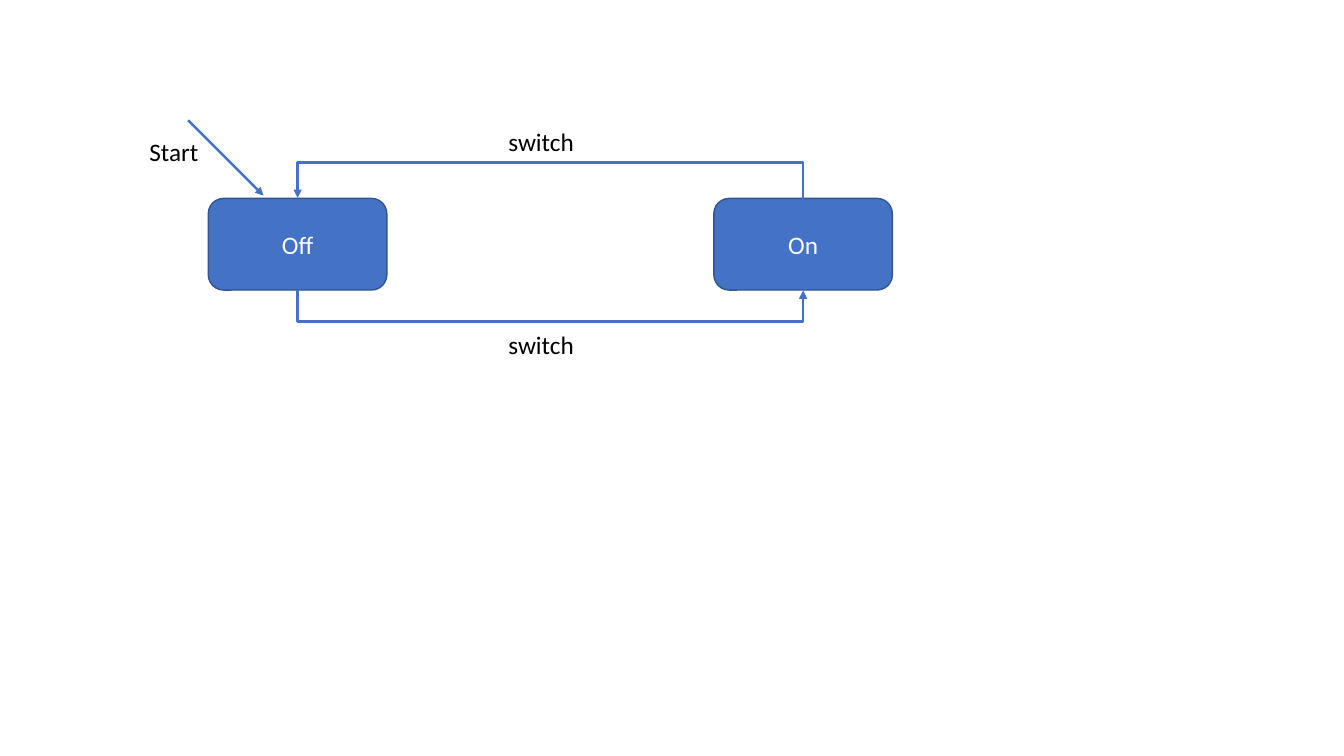
import dataclasses
import typing

import pptx
import pptx.dml.color
import pptx.enum.shapes
import pptx.enum.text
import pptx.oxml.ns
import pptx.util

Cm = pptx.util.Cm
Pt = pptx.util.Pt
RGB = pptx.dml.color.RGBColor
Align = pptx.enum.text.PP_ALIGN
Kind = pptx.enum.shapes.MSO_CONNECTOR


@dataclasses.dataclass(frozen=True)
class Theme:
    font: str = "Calibri"
    size: float = 18
    fill: RGB = RGB(0x44, 0x72, 0xC4)
    edge: RGB = RGB(0x32, 0x54, 0x91)
    light: RGB = RGB(0xFF, 0xFF, 0xFF)
    dark: RGB = RGB(0, 0, 0)
    rim: float = 1
    stroke: float = 1.75


@dataclasses.dataclass(frozen=True)
class State:
    name: str
    left: float


@dataclasses.dataclass(frozen=True)
class Label:
    text: str
    left: float
    top: float
    width: float
    align: Align = Align.LEFT


@dataclasses.dataclass(frozen=True)
class Move:
    start: str
    end: str
    site: int  # 0 is the top of a state, 2 the bottom
    flip: str
    depth: float


THEME = Theme()
TOP, WIDE, HIGH = 5.0, 4.5, 2.31
THIN = 0.02  # bent connectors need a small extent to scale their depth
STATES = [State("Off", 5.25), State("On", 17.99)]
MOVES = [Move("Off", "On", 2, "flipH", 0.8), Move("On", "Off", 0, "flipV", 0.91)]
LABELS = [
    Label("switch", 12.56, 3.05, 2.18),
    Label("switch", 12.56, 8.18, 2.18),
    Label("Start", 3.5, 3.3, 1.75, Align.RIGHT),
]


def write(frame: typing.Any, text: str, *, color: RGB, align: Align = Align.LEFT) -> None:
    para = frame.paragraphs[0]
    para.alignment = align
    run = para.add_run()
    run.text = text
    run.font.name = THEME.font
    run.font.size = Pt(THEME.size)
    run.font.color.rgb = color


def add_state(slide: typing.Any, state: State) -> typing.Any:
    box = slide.shapes.add_shape(
        pptx.enum.shapes.MSO_SHAPE.ROUNDED_RECTANGLE,
        Cm(state.left), Cm(TOP), Cm(WIDE), Cm(HIGH))
    box.shadow.inherit = False
    box.fill.solid()
    box.fill.fore_color.rgb = THEME.fill
    box.line.color.rgb = THEME.edge
    box.line.width = Pt(THEME.rim)
    box.text_frame.vertical_anchor = pptx.enum.text.MSO_ANCHOR.MIDDLE
    write(box.text_frame, state.name, color=THEME.light, align=Align.CENTER)
    return box


def add_label(slide: typing.Any, label: Label) -> None:
    box = slide.shapes.add_textbox(
        Cm(label.left), Cm(label.top), Cm(label.width), Cm(1.03))
    box.text_frame.word_wrap = False
    box.text_frame.auto_size = pptx.enum.text.MSO_AUTO_SIZE.SHAPE_TO_FIT_TEXT
    write(box.text_frame, label.text, color=THEME.dark, align=label.align)


def add_arrow(slide: typing.Any, kind: Kind, x1: float, y1: float,
              x2: float, y2: float) -> typing.Any:
    arrow = slide.shapes.add_connector(kind, Cm(x1), Cm(y1), Cm(x2), Cm(y2))
    arrow.line.color.rgb = THEME.fill
    arrow.line.width = Pt(THEME.stroke)
    props = arrow.element.spPr
    props.find(pptx.oxml.ns.qn("a:ln")).append(pptx.oxml.parse_xml(
        f'<a:tailEnd {pptx.oxml.ns.nsdecls("a")} type="triangle"/>'))
    props.append(
        pptx.oxml.parse_xml(f'<a:effectLst {pptx.oxml.ns.nsdecls("a")}/>'))
    return arrow


def add_move(slide: typing.Any, move: Move, boxes: dict[str, typing.Any]) -> None:
    """Join two states by a bent arrow that leaves and enters upright."""
    arrow = add_arrow(slide, Kind.ELBOW, 0, 0, 1, 1)
    arrow.begin_connect(boxes[move.start], move.site)
    arrow.end_connect(boxes[move.end], move.site)
    left, right = (state.left + WIDE / 2 for state in STATES)
    span = right - left
    level = TOP + (HIGH if move.site == 2 else 0)
    arrow.left = Cm((left + right - THIN) / 2)
    arrow.top = Cm(level - span / 2)
    arrow.width, arrow.height = Cm(THIN), Cm(span)
    props = arrow.element.spPr
    frame = props.find(pptx.oxml.ns.qn("a:xfrm"))
    frame.set("rot", str(270 * 60000))
    for flip in ("flipH", "flipV"):
        frame.set(flip, "1" if flip == move.flip else "0")
    shape = props.find(pptx.oxml.ns.qn("a:prstGeom"))
    for old in list(shape):
        shape.remove(old)
    bend = round(move.depth / THIN * 100000)
    shape.append(pptx.oxml.parse_xml(
        f'<a:avLst {pptx.oxml.ns.nsdecls("a")}>'
        f'<a:gd name="adj1" fmla="val {bend}"/></a:avLst>'))


def main() -> None:
    deck = pptx.Presentation()
    deck.slide_width, deck.slide_height = Cm(33.87), Cm(19.05)
    slide = deck.slides.add_slide(deck.slide_layouts[6])
    boxes = {state.name: add_state(slide, state) for state in STATES}
    for move in MOVES:
        add_move(slide, move, boxes)
    add_arrow(slide, Kind.STRAIGHT, 4.74, 3.03, 6.64, 4.93)
    for label in LABELS:
        add_label(slide, label)
    deck.save("out.pptx")


if __name__ == "__main__":
    main()
